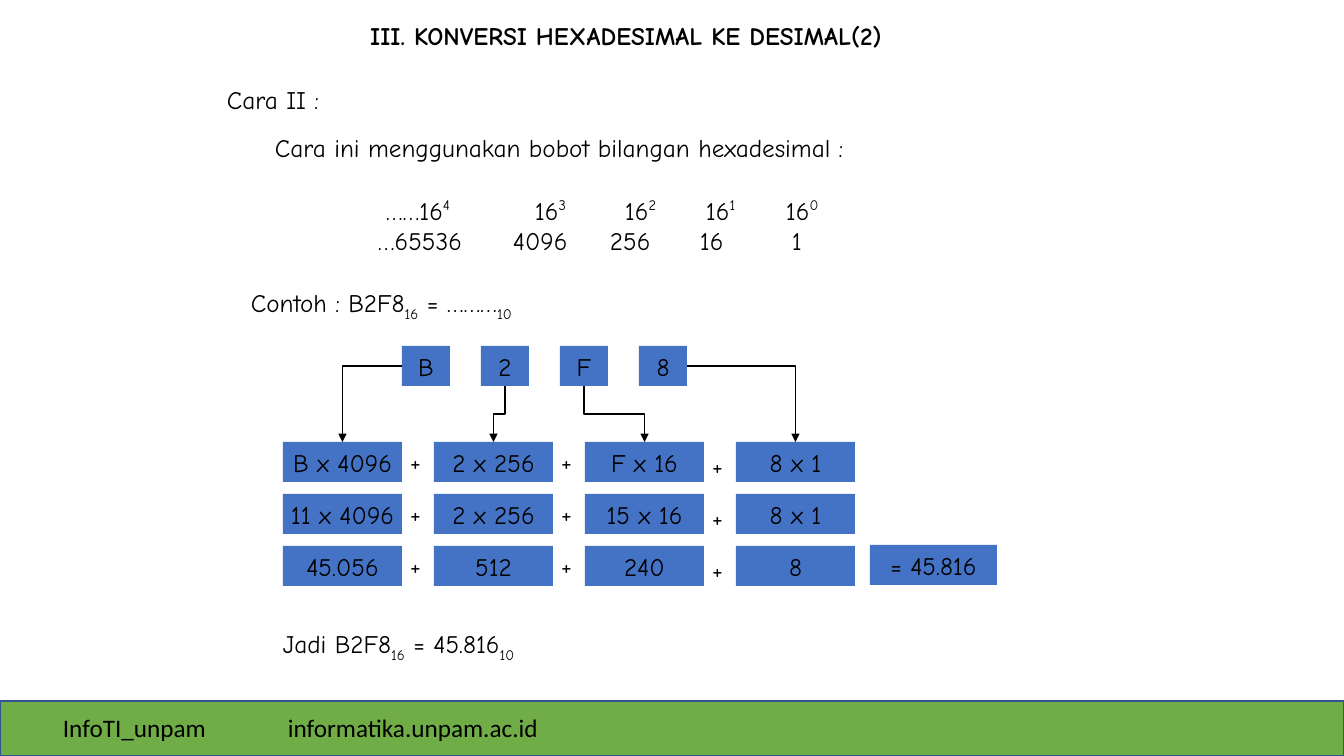
"""Build the slide on turning hexadecimal numbers into decimal ones."""
import dataclasses
import typing

import lxml.etree
import pptx
import pptx.dml.color
import pptx.enum.shapes
import pptx.enum.text
import pptx.oxml.ns
import pptx.shapes.autoshape
import pptx.shapes.connector
import pptx.slide
import pptx.text.text
import pptx.util

BLACK = pptx.dml.color.RGBColor(0x00, 0x00, 0x00)
BLUE = pptx.dml.color.RGBColor(0x44, 0x72, 0xC4)
GREEN = pptx.dml.color.RGBColor(0x70, 0xAD, 0x47)
NAVY = pptx.dml.color.RGBColor(0x32, 0x54, 0x91)
COMIC = "Comic Neue"
PLAIN = "Calibri"
RAISED, LOWERED = 40, -30
TOP, LEFT, BOTTOM, RIGHT = range(4)
KINDS = pptx.enum.shapes.MSO_SHAPE
ALIGN = pptx.enum.text.PP_ALIGN
ANCHOR = pptx.enum.text.MSO_ANCHOR


class Piece(typing.NamedTuple):
    """A run of text with its baseline shift in percent."""
    text: str
    base: int = 0


@dataclasses.dataclass(frozen=True)
class Box:
    """A place on the slide in px."""
    left: int
    top: int
    width: int
    height: int = 40


@dataclasses.dataclass(frozen=True)
class Line:
    """One line of text, with tab stops in px."""
    pieces: tuple[Piece, ...]
    tabs: tuple[int, ...] = ()


@dataclasses.dataclass(frozen=True)
class Note:
    """A free block of text."""
    box: Box
    lines: tuple[Line, ...]
    face: str = COMIC


def px(count: float) -> int:
    """Turn px into EMU."""
    return round(count * 914400 / 100.8)


def plain(text: str) -> Line:
    """Make a line of one piece."""
    return Line((Piece(text),))


def powers() -> Line:
    """Make the line of powers of sixteen."""
    pieces = []
    for power in range(4, -1, -1):
        lead = "\t……16" if power == 4 else "\t16"
        pieces += [Piece(lead), Piece(str(power), RAISED)]
    return Line(tuple(pieces), (16, 165, 255, 336, 416))


NOTES = (
    Note(Box(53, 707, 198), (plain("InfoTI_unpam"),), PLAIN),
    Note(Box(278, 707, 297), (plain("informatika.unpam.ac.id"),), PLAIN),
    Note(Box(217, 79, 124), (plain("Cara II :"),)),
    Note(Box(265, 127, 611), (plain("Cara ini menggunakan bobot bilangan hexadesimal :"),)),
    Note(Box(360, 190, 470, 70), (
        powers(),
        Line((Piece("\t…65536\t4096\t256\t16\t1"),), (8, 143, 240, 330, 422)))),
    Note(Box(241, 282, 300), (Line((
        Piece("Contoh : B2F8"), Piece("16", LOWERED),
        Piece(" = ………"), Piece("10", LOWERED))),)),
    Note(Box(273, 623, 284), (Line((
        Piece("Jadi B2F8"), Piece("16", LOWERED),
        Piece(" = 45.816"), Piece("10", LOWERED))),)),
)
DIGITS = "B2F8"
TERMS = (
    ("B x 4096", "2 x 256", "F x 16", "8 x 1"),
    ("11 x 4096", "2 x 256", "15 x 16", "8 x 1"),
    ("45.056", "512", "240", "8"),
)


def place(shape: pptx.shapes.autoshape.Shape, box: Box) -> None:
    """Move a shape to its box."""
    shape.left, shape.top = px(box.left), px(box.top)
    shape.width, shape.height = px(box.width), px(box.height)


def write(para: pptx.text.text._Paragraph, line: Line, face: str = COMIC,
          bold: bool = False) -> None:
    """Fill a paragraph with a line."""
    props = para._p.get_or_add_pPr()
    if line.tabs:
        stops = lxml.etree.SubElement(props, pptx.oxml.ns.qn("a:tabLst"))
        for stop in line.tabs:
            lxml.etree.SubElement(stops, pptx.oxml.ns.qn("a:tab"), pos=str(px(stop)), algn="l")
    for piece in line.pieces:
        run = para.add_run()
        run.text = piece.text
        if piece.base:
            run._r.get_or_add_rPr().set("baseline", str(piece.base * 1000))
    font = para.font
    font.name, font.size, font.bold = face, pptx.util.Pt(18), bold
    font.color.rgb = BLACK


def add_note(slide: pptx.slide.Slide, note: Note) -> None:
    """Draw a block of text."""
    box = note.box
    shape = slide.shapes.add_textbox(px(box.left), px(box.top), px(box.width), px(box.height))
    frame = shape.text_frame
    frame.word_wrap = True
    for index, line in enumerate(note.lines):
        para = frame.add_paragraph() if index else frame.paragraphs[0]
        write(para, line, note.face)


def add_block(slide: pptx.slide.Slide, box: Box, text: str) -> pptx.shapes.autoshape.Shape:
    """Draw a blue block with centred text."""
    shape = slide.shapes.add_shape(KINDS.RECTANGLE, 0, 0, 0, 0)
    place(shape, box)
    shape.shadow.inherit = False
    shape.fill.solid()
    shape.fill.fore_color.rgb = BLUE
    shape.line.fill.background()
    frame = shape.text_frame
    frame.word_wrap = False
    frame.vertical_anchor = ANCHOR.MIDDLE
    frame.paragraphs[0].alignment = ALIGN.CENTER
    write(frame.paragraphs[0], plain(text))
    return shape


def turn(arrow: pptx.shapes.connector.Connector) -> None:
    """Make an elbow leave and arrive upright."""
    right = arrow.end_x > arrow.begin_x
    wide, high = arrow.width, arrow.height
    arrow.left += (wide - high) // 2
    arrow.top += (high - wide) // 2
    arrow.width, arrow.height = high, wide
    frame = arrow._element.spPr.find(pptx.oxml.ns.qn("a:xfrm"))
    frame.set("rot", str((270 if right else 90) * 60000))
    frame.set("flipH", str(int(right)))


def add_arrow(slide: pptx.slide.Slide, start: pptx.shapes.autoshape.Shape,
              end: pptx.shapes.autoshape.Shape, side: int) -> None:
    """Join a digit to its term by a bent arrow."""
    arrow = slide.shapes.add_connector(pptx.enum.shapes.MSO_CONNECTOR.ELBOW, 0, 0, 0, 0)
    arrow.begin_connect(start, side)
    arrow.end_connect(end, TOP)
    arrow.line.color.rgb = BLACK
    arrow.line.width = pptx.util.Pt(0.75)
    props = arrow._element.spPr
    lxml.etree.SubElement(arrow.line._get_or_add_ln(), pptx.oxml.ns.qn("a:tailEnd"),
                          type="triangle")
    lxml.etree.SubElement(props, pptx.oxml.ns.qn("a:effectLst"))
    if side == BOTTOM:
        turn(arrow)
    else:
        props.find(pptx.oxml.ns.qn("a:prstGeom")).set("prst", "bentConnector2")


def add_bar(slide: pptx.slide.Slide) -> None:
    """Draw the green bar at the foot."""
    bar = slide.shapes.add_shape(KINDS.FLOWCHART_PROCESS, 0, 0, 0, 0)
    place(bar, Box(0, 701, 1344, 55))
    bar.shadow.inherit = False
    bar.fill.solid()
    bar.fill.fore_color.rgb = GREEN
    bar.line.color.rgb = NAVY
    bar.line.width = pptx.util.Pt(1)


def add_title(slide: pptx.slide.Slide) -> None:
    """Set the title."""
    title = slide.shapes.title
    place(title, Box(360, 15, 625))
    frame = title.text_frame
    frame.auto_size = pptx.enum.text.MSO_AUTO_SIZE.NONE
    frame.vertical_anchor = ANCHOR.TOP
    frame.paragraphs[0].alignment = ALIGN.LEFT
    write(frame.paragraphs[0], plain("III. KONVERSI HEXADESIMAL KE DESIMAL(2)"), bold=True)


def add_sums(slide: pptx.slide.Slide) -> None:
    """Draw the digits, the rows of terms and the arrows."""
    digits = [add_block(slide, Box(402 + 79 * col, 346, 48), digit)
              for col, digit in enumerate(DIGITS)]
    heads = []
    for row, terms in enumerate(TERMS):
        top = 442 + 52 * row
        for col, term in enumerate(terms):
            left = 283 + 151 * col
            block = add_block(slide, Box(left, top, 119), term)
            if row == 0:
                heads.append(block)
            if col < len(terms) - 1:
                drop = 3 if col == 2 else -1
                add_note(slide, Note(Box(left + 117, top + drop, 32), (plain("+"),)))
    for start, end, side in zip(digits, heads, (LEFT, BOTTOM, BOTTOM, RIGHT)):
        add_arrow(slide, start, end, side)
    add_block(slide, Box(870, 545, 127), "= 45.816")


def main() -> None:
    """Build and save the deck."""
    deck = pptx.Presentation()
    deck.slide_width, deck.slide_height = px(1344), px(756)
    slide = deck.slides.add_slide(deck.slide_layouts[5])
    add_bar(slide)
    add_title(slide)
    for note in NOTES:
        add_note(slide, note)
    add_sums(slide)
    deck.save("out.pptx")


if __name__ == "__main__":
    main()
